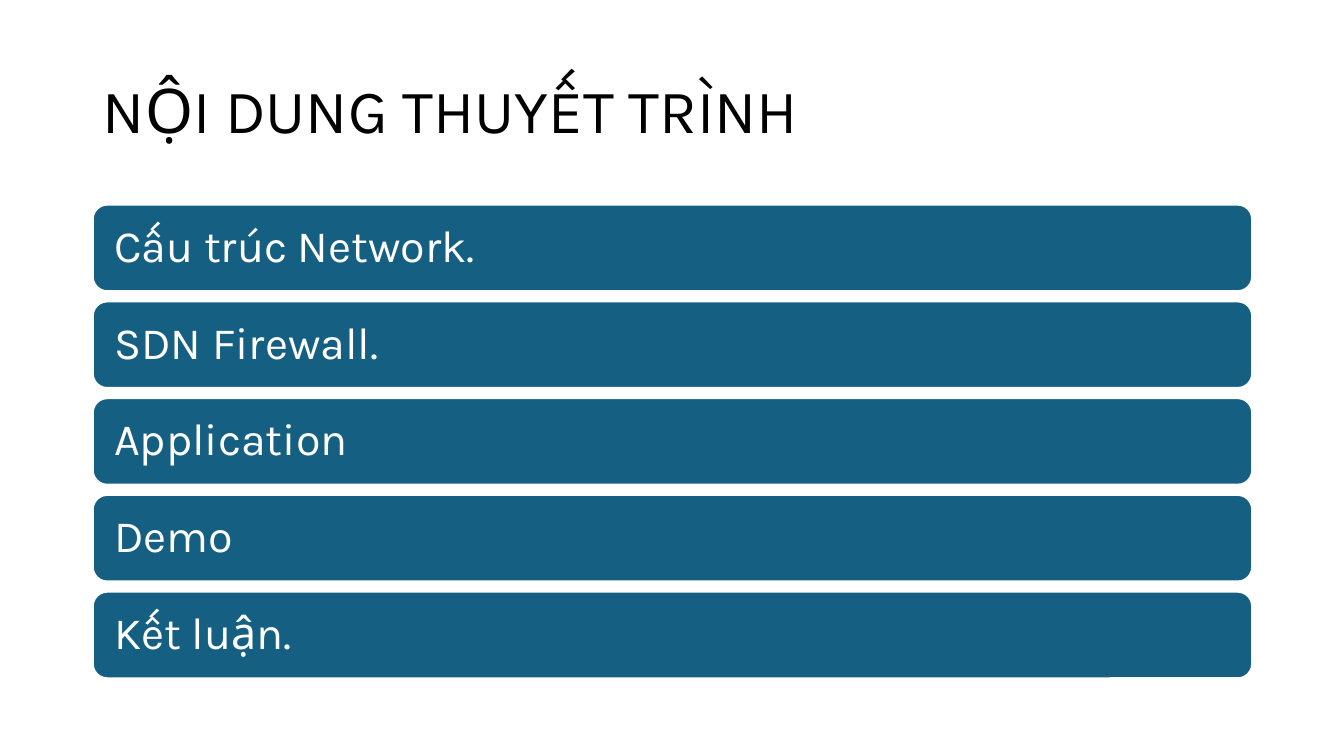
"""Build the agenda slide: a title above five equal topic bars."""
from dataclasses import dataclass

from pptx import Presentation
from pptx import util as u
from pptx.dml.color import RGBColor
from pptx.enum import shapes, text

PX = u.Inches(1) // 100
FONT = "Karla"
BLACK = RGBColor(0x00, 0x00, 0x00)
WHITE = RGBColor(0xFF, 0xFF, 0xFF)
TEAL = RGBColor(0x15, 0x60, 0x82)

LEFT, WIDTH = 92, 1150
FIRST_TOP, BAR_HEIGHT, PITCH = 203, 86, 96
BAR_INSET = 17


@dataclass(frozen=True)
class Topic:
    label: str
    top: int


LABELS = ("Cấu trúc Network.", "SDN Firewall.", "Application", "Demo", "Kết luận.")
TOPICS = [Topic(label, FIRST_TOP + PITCH * row) for row, label in enumerate(LABELS)]


def write(shape, wording: str, size: int, color: RGBColor) -> None:
    frame = shape.text_frame
    frame.text = wording
    frame.word_wrap = True
    frame.auto_size = text.MSO_AUTO_SIZE.NONE
    frame.vertical_anchor = text.MSO_ANCHOR.MIDDLE
    paragraph = frame.paragraphs[0]
    paragraph.alignment = text.PP_ALIGN.LEFT
    paragraph.line_spacing = 0.9
    font = paragraph.runs[0].font
    font.name = FONT
    font.size = u.Pt(size)
    font.color.rgb = color


def draw_heading(slide) -> None:
    heading = slide.shapes.title
    heading.left, heading.top = LEFT * PX, 40 * PX
    heading.width, heading.height = WIDTH * PX, 145 * PX
    write(heading, "NỘI DUNG THUYẾT TRÌNH", 44, BLACK)


def draw_topic(slide, topic: Topic) -> None:
    bar = slide.shapes.add_shape(
        shapes.MSO_SHAPE.ROUNDED_RECTANGLE,
        LEFT * PX, topic.top * PX, WIDTH * PX, BAR_HEIGHT * PX,
    )
    bar.shadow.inherit = False
    bar.fill.solid()
    bar.fill.fore_color.rgb = TEAL
    bar.line.color.rgb = WHITE
    bar.line.width = u.Pt(1.5)
    frame = bar.text_frame
    frame.margin_left = frame.margin_right = BAR_INSET * PX
    frame.margin_top = frame.margin_bottom = BAR_INSET * PX
    write(bar, topic.label, 32, WHITE)


def main() -> None:
    deck = Presentation()
    deck.slide_width, deck.slide_height = 1333 * PX, 750 * PX
    agenda = deck.slides.add_slide(deck.slide_layouts.get_by_name("Title Only"))
    draw_heading(agenda)
    for topic in TOPICS:
        draw_topic(agenda, topic)
    deck.save("out.pptx")


if __name__ == "__main__":
    main()
